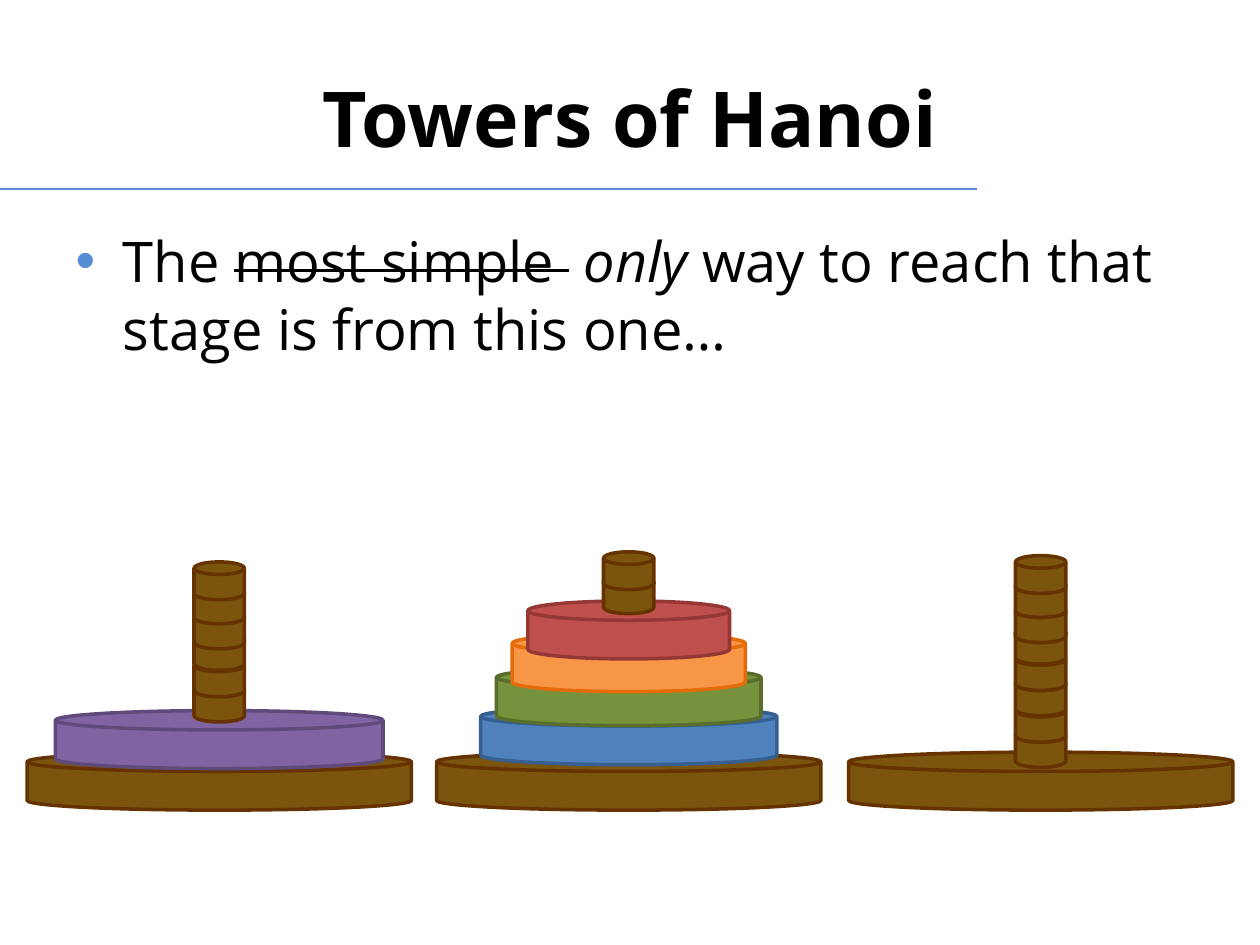
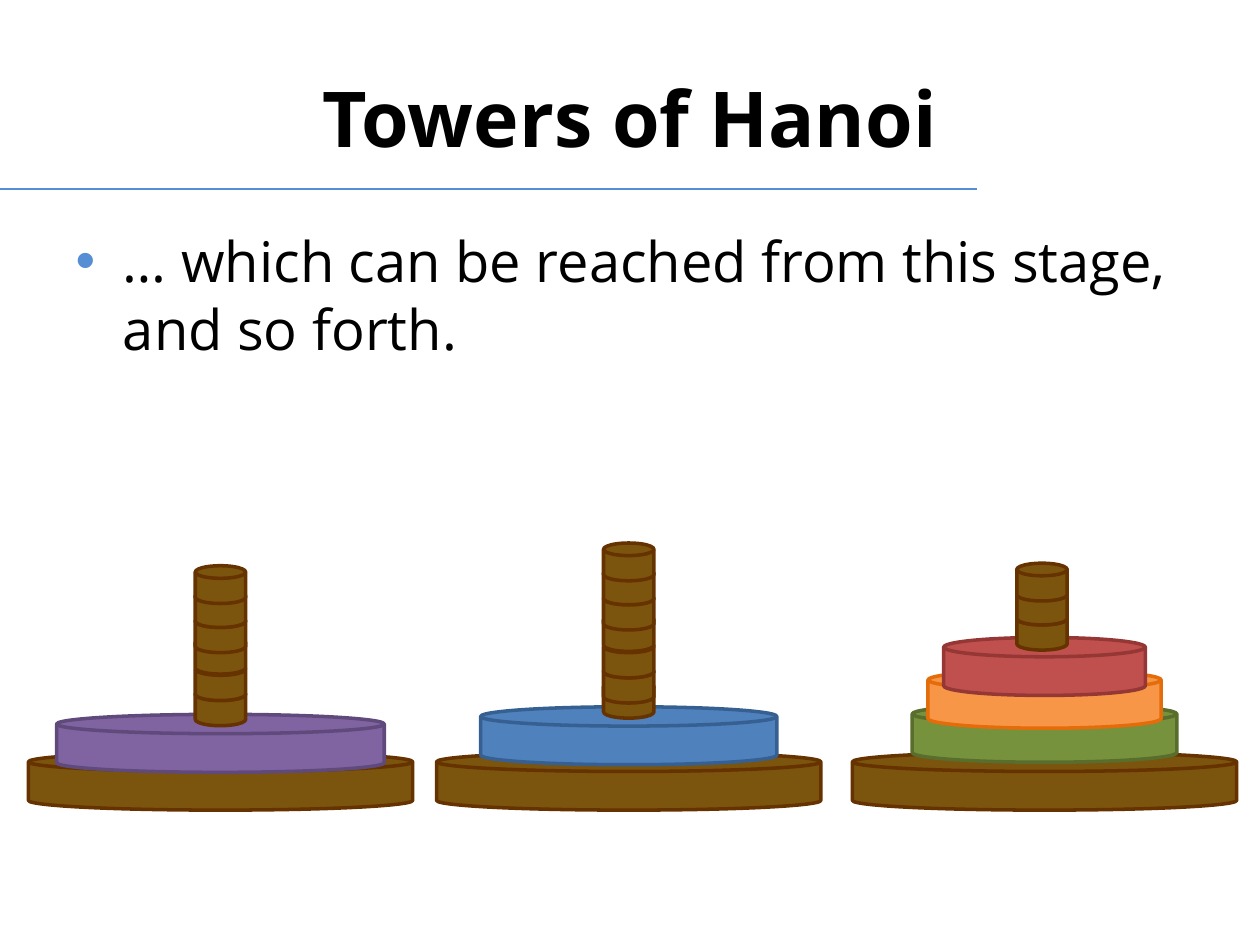
from dataclasses import dataclass

from lxml import etree
from pptx import Presentation
from pptx.dml.color import RGBColor
from pptx.enum.shapes import MSO_CONNECTOR as CONNECTOR, MSO_SHAPE as SHAPE
from pptx.enum.text import MSO_ANCHOR as ANCHOR, PP_ALIGN as ALIGN
from pptx.oxml.ns import qn
from pptx.util import Inches, Pt

# Shared look
FONT = "Open Sans"
BLACK, ACCENT = "000000", "558ED5"
WOOD, WOOD_EDGE = "7B540D", "663300"
TITLE_FONT = {"name": FONT, "size": Pt(44), "bold": True}
BODY_FONT = {"name": FONT, "size": Pt(32)}

# Shared tower measures, in inches
BASE_WIDTH, BASE_TOP, DISC_HEIGHT = 3.05, 5.97, 0.46
RING_WIDTH, RING_HEIGHT = 0.4, 0.3
RING_STEPS = (0, 0.19, 0.39, 0.56, 0.77, 0.97, 1.18, 1.38)

# Disc: width, fill, edge, rise above the blue disc
DISCS = {
    "purple": (2.6, "8064A2", "604A7B", 0),
    "blue": (2.35, "4F81BD", "376092", 0),
    "green": (2.1, "76923C", "596E2D", 0.31),
    "orange": (1.85, "F79646", "E46C0A", 0.58),
    "red": (1.6, "C0504D", "953735", 0.84),
}


@dataclass
class Tower:
    center: float
    peg_top: float
    rings: int
    discs: tuple = ()
    stack_top: float = 0  # top of the lowest disc
    foot_top: float = 0   # top of a shortened lowest ring
    peg_center: float = 0  # when the peg stands off centre


SLIDES = [
    {
        "spans": [
            ("The ", {}),
            ("most simple ", {"strike": True}),
            (" ", {}),
            ("only", {"italic": True}),
            (" way to reach that stage is from this one…", {}),
        ],
        "towers": [
            Tower(1.74, 4.46, 6, ("purple",), 5.64),
            Tower(4.99, 4.38, 2, ("blue", "green", "orange", "red"), 5.61),
            Tower(8.26, 4.41, 8),
        ],
    },
    {
        "spans": [
            ("… which can be reached from this stage, and so forth.", {}),
        ],
        "towers": [
            Tower(1.75, 4.49, 6, ("purple",), 5.67),
            Tower(4.99, 4.31, 6, ("blue",), 5.61, foot_top=5.4),
            Tower(8.29, 4.47, 3, ("green", "orange", "red"), 5.59,
                  peg_center=8.27),
        ],
    },
]


def color(hex_text):
    return RGBColor.from_string(hex_text)


def place(box, left, top, width, height):
    lengths = {"left": left, "top": top, "width": width, "height": height}
    for name, value in lengths.items():
        setattr(box, name, Inches(value))


def add_span(para, text, formats):
    """Add one run; strike-through needs its XML attribute."""
    span = para.add_run()
    span.text = text
    span.font.color.rgb = color(BLACK)
    for name, value in formats.items():
        if name == "strike":
            span.font._element.set("strike", "sngStrike")
        else:
            setattr(span.font, name, value)


def color_bullet(para, hex_text):
    props = para._p.get_or_add_pPr()
    bullet = etree.SubElement(props, qn("a:buClr"))
    etree.SubElement(bullet, qn("a:srgbClr"), val=hex_text)


def add_rule(page):
    """Draw the thin line below the title."""
    rule = page.shapes.add_connector(
        CONNECTOR.STRAIGHT, 0, Inches(1.5), Inches(7.75), Inches(1.5))
    rule.line.color.rgb = color(ACCENT)
    rule.line.width = Pt(0.75)
    etree.SubElement(rule._element.spPr, qn("a:effectLst"))


def fill_title(page, text):
    title = page.shapes.title
    place(title, 0.5, 0.3, 9, 1.25)
    title.text_frame.vertical_anchor = ANCHOR.MIDDLE
    para = title.text_frame.paragraphs[0]
    para.alignment = ALIGN.CENTER
    add_span(para, text, TITLE_FONT)


def fill_body(page, spans):
    body = page.placeholders[1]
    place(body, 0.5, 1.75, 9, 4.95)
    para = body.text_frame.paragraphs[0]
    color_bullet(para, ACCENT)
    for text, formats in spans:
        add_span(para, text, {**BODY_FONT, **formats})


def add_disk(page, center, top, width, height, fill=WOOD, edge=WOOD_EDGE):
    disk = page.shapes.add_shape(
        SHAPE.FLOWCHART_MAGNETIC_DISK, Inches(center - width / 2),
        Inches(top), Inches(width), Inches(height))
    disk.shadow.inherit = False
    disk.fill.solid()
    disk.fill.fore_color.rgb = color(fill)
    disk.line.color.rgb = color(edge)
    disk.line.width = Pt(2)


def add_tower(page, tower):
    """Stack base, discs and peg rings from the bottom up."""
    add_disk(page, tower.center, BASE_TOP, BASE_WIDTH, DISC_HEIGHT)

    for name in tower.discs:
        width, fill, edge, rise = DISCS[name]
        lift = rise - DISCS[tower.discs[0]][3]
        add_disk(page, tower.center, tower.stack_top - lift,
                 width, DISC_HEIGHT, fill, edge)

    ring_tops = [tower.peg_top + step for step in RING_STEPS[:tower.rings]]
    if tower.foot_top:
        ring_tops.append(tower.foot_top)
    for top in reversed(ring_tops):
        add_disk(page, tower.peg_center or tower.center, top,
                 RING_WIDTH, RING_HEIGHT)


def main():
    deck = Presentation()
    deck.slide_width, deck.slide_height = Inches(10), Inches(7.5)
    for content in SLIDES:
        page = deck.slides.add_slide(deck.slide_layouts[1])
        add_rule(page)
        fill_title(page, "Towers of Hanoi")
        fill_body(page, content["spans"])
        for tower in content["towers"]:
            add_tower(page, tower)
    deck.save("out.pptx")


main()
